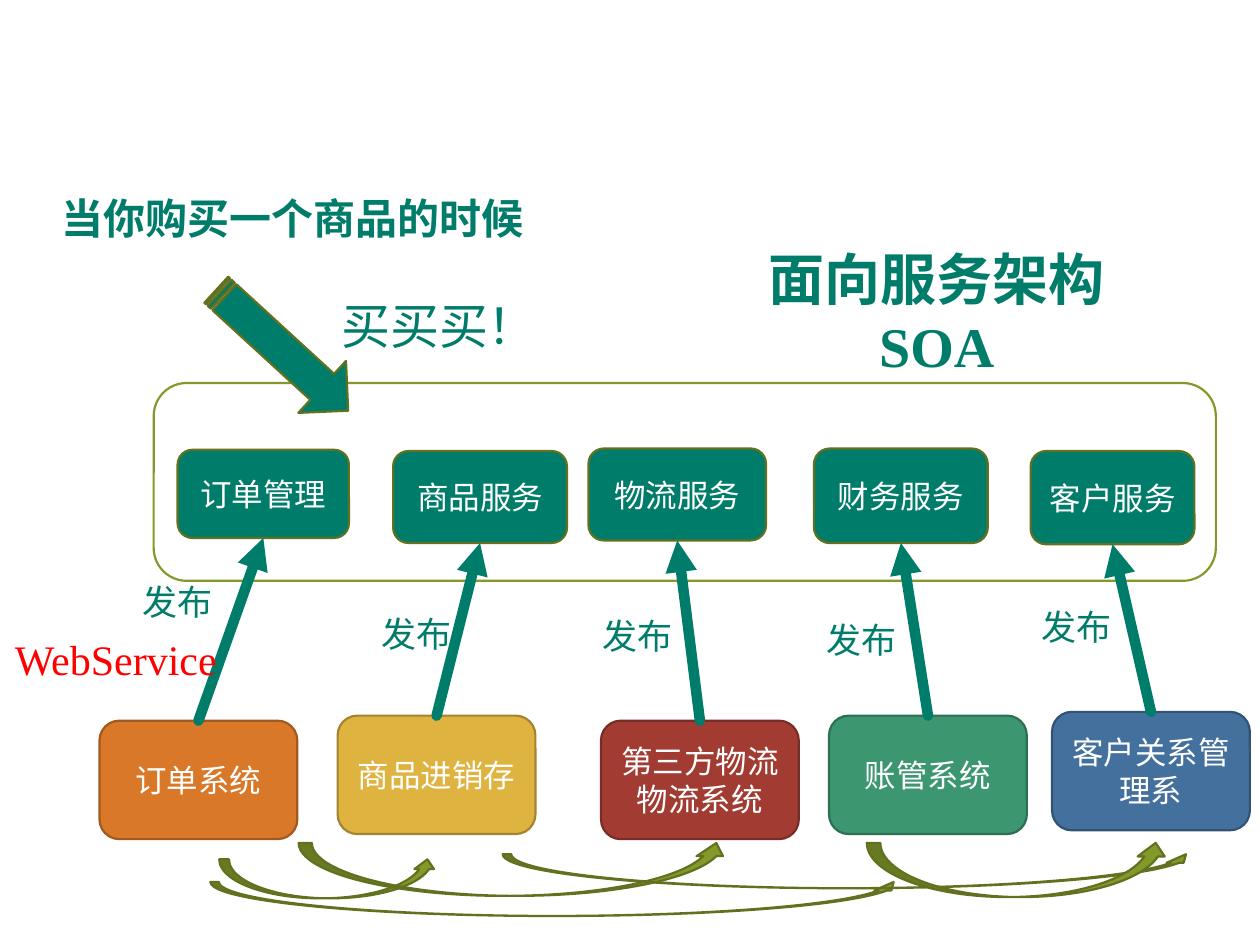
from lxml import etree
from pptx import Presentation
from pptx import util as u
from pptx.dml.color import RGBColor
from pptx.enum import shapes, text
from pptx.oxml import ns

COLORS = {
    "teal": "007C6A", "white": "FFFFFF", "red": "FF0000",
    "olive": "83992A", "dark_olive": "61711F",
    "orange": "D97828", "dark_orange": "A1591E",
    "yellow": "DEB340", "dark_yellow": "A4842F",
    "brick": "A23C33", "dark_brick": "782C26",
    "green": "3C9770", "dark_green": "2C7053",
    "blue": "44709D", "dark_blue": "325374",
}
COLS, ROWS = 10, 7.5
KIND = shapes.MSO_SHAPE


def rgb(name):
    return RGBColor.from_string(COLORS[name])


def sub(parent, tag, **attrs):
    return etree.SubElement(parent, ns.qn(tag), attrs)


class Diagram:
    font = "Times New Roman"
    line_width = 1.25

    def __init__(self, prs):
        self.slide = prs.slides.add_slide(prs.slide_layouts[5])
        self.col = prs.slide_width / COLS
        self.row = prs.slide_height / ROWS

    def place(self, x, y, w, h):
        return [u.Emu(round(v * unit)) for v, unit in
                zip((x, y, w, h), (self.col, self.row) * 2)]

    def set_words(self, frame, words, size, color, bold=False, center=True, **frame_format):
        for key, value in frame_format.items():
            setattr(frame, key, value)
        line = frame.paragraphs[0]
        line.alignment = text.PP_ALIGN.CENTER if center else text.PP_ALIGN.LEFT
        run = line.add_run()
        run.text = words
        formats = {"size": u.Pt(size), "name": self.font, "bold": bold}
        for key, value in formats.items():
            setattr(run.font, key, value)
        run.font.color.rgb = rgb(color)
        return run

    def title(self, words, box):
        title = self.slide.shapes.title
        for key, value in zip(("left", "top", "width", "height"), self.place(*box)):
            setattr(title, key, value)
        self.set_words(title.text_frame, words, 32, "teal", bold=True, word_wrap=True,
                       vertical_anchor=text.MSO_ANCHOR.TOP,
                       auto_size=text.MSO_AUTO_SIZE.SHAPE_TO_FIT_TEXT)

    def label(self, words, box, size, color="teal", **style):
        frame = self.slide.shapes.add_textbox(*self.place(*box)).text_frame
        return self.set_words(frame, words, size, color, word_wrap=False,
                              auto_size=text.MSO_AUTO_SIZE.SHAPE_TO_FIT_TEXT, **style)

    def shape(self, kind, box, fill, line, words="", rotation=0):
        shape = self.slide.shapes.add_shape(kind, *self.place(*box))
        shape.shadow.inherit = False
        shape.rotation = rotation
        shape.fill.solid()
        shape.fill.fore_color.rgb = rgb(fill)
        shape.line.color.rgb = rgb(line)
        shape.line.width = u.Pt(self.line_width)
        if words:
            self.set_words(shape.text_frame, words, 18, "white", word_wrap=True,
                           vertical_anchor=text.MSO_ANCHOR.MIDDLE)
        return shape

    def arrow_up(self, lower, upper):
        arrow = self.slide.shapes.add_connector(shapes.MSO_CONNECTOR.STRAIGHT, 0, 0, 0, 0)
        arrow.begin_connect(lower, 0)
        arrow.end_connect(upper, 2)
        arrow.line.color.rgb = rgb("teal")
        arrow.line.width = u.Pt(6)
        line = arrow._element.spPr.find(ns.qn("a:ln"))
        line.set("cap", "rnd")
        sub(line, "a:tailEnd", type="triangle")
        sub(arrow._element.spPr, "a:effectLst")

    def cast_shadow(self, run):
        effects = etree.Element(ns.qn("a:effectLst"))
        shadow = sub(effects, "a:outerShdw", blurRad="38100", dist="38100", dir="2700000")
        sub(sub(shadow, "a:srgbClr", val="000000"), "a:alpha", val="43000")
        run._r.rPr.find(ns.qn("a:solidFill")).addnext(effects)


def main():
    prs = Presentation()
    prs.slide_width, prs.slide_height = u.Inches(10), u.Inches(7.5)
    diagram = Diagram(prs)

    # Title and the frame around the services
    diagram.title("面向服务架构SOA", (5.59, 1.89, 3.69, 0.64))
    diagram.shape(KIND.ROUNDED_RECTANGLE, (1.22, 3.04, 8.43, 1.57), "white", "olive")

    # Each system publishes one service: name, place; name, left, top, colour; label
    pairs = [
        ("订单管理", (1.41, 3.57, 1.36, 0.7), "订单系统", 0.79, 5.72, "orange", (1.03, 4.56)),
        ("商品服务", (3.12, 3.58, 1.38, 0.73), "商品进销存", 2.68, 5.68, "yellow", (2.93, 4.81)),
        ("物流服务", (4.67, 3.56, 1.41, 0.73), "第三方物流物流系统", 4.77, 5.72, "brick", (4.68, 4.83)),
        ("财务服务", (6.46, 3.56, 1.38, 0.75), "账管系统", 6.58, 5.68, "green", (6.46, 4.86)),
        ("客户服务", (8.18, 3.58, 1.3, 0.74), "客户关系管理系", 8.35, 5.65, "blue", (8.17, 4.76)),
    ]
    for service_name, box, system_name, left, top, color, publish in pairs:
        service = diagram.shape(KIND.ROUNDED_RECTANGLE, box, "teal", "dark_olive", service_name)
        system = diagram.shape(KIND.ROUNDED_RECTANGLE, (left, top, 1.57, 0.94),
                               color, "dark_" + color, system_name)
        diagram.arrow_up(system, service)
        diagram.label("发布", (*publish, 0.76, 0.44), 20, center=False)

    # The purchase that starts it all
    diagram.shape(KIND.STRIPED_RIGHT_ARROW, (1.53, 2.5, 1.42, 0.56),
                  "teal", "dark_olive", rotation=42.5)
    diagram.label("买买买！", (2.61, 2.3, 1.77, 0.57), 28, center=False)
    diagram.label("当你购买一个商品的时候", (0.36, 1.48, 3.92, 0.5), 24, bold=True)
    protocol = diagram.label("WebService", (0.02, 4.98, 1.82, 0.5), 24, "red", center=False)
    diagram.cast_shadow(protocol)

    # Calls between the systems
    calls = [(1.74, 6.82, 1.73, 0.31), (2.37, 6.69, 3.42, 0.42), (1.67, 7, 5.49, 0.27),
             (3.99, 6.78, 5.49, 0.27), (6.88, 6.69, 2.4, 0.43)]
    for call in calls:
        diagram.shape(KIND.CURVED_UP_ARROW, call, "olive", "dark_olive")

    prs.save("out.pptx")


if __name__ == "__main__":
    main()
